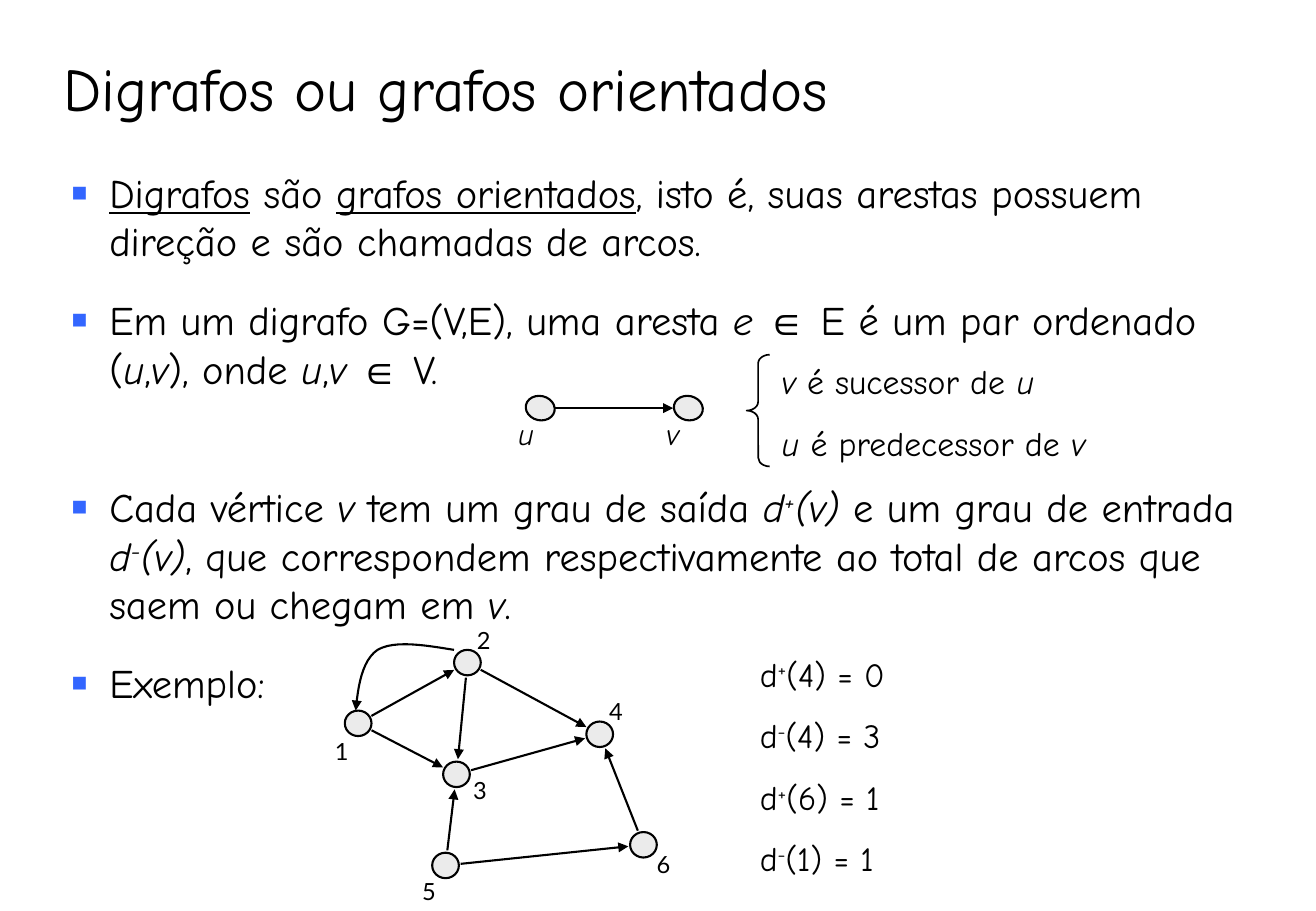
from math import hypot

from lxml.etree import SubElement
from pptx import Presentation
from pptx.dml.color import RGBColor
from pptx.enum.shapes import MSO_CONNECTOR, MSO_SHAPE
from pptx.enum.text import MSO_ANCHOR, MSO_AUTO_SIZE, PP_ALIGN
from pptx.oxml.ns import qn
from pptx.util import Inches, Pt

BLACK = RGBColor(0, 0, 0)
GREY = RGBColor(0xEB, 0xEB, 0xEB)
BLUE = RGBColor(0x33, 0x66, 0xFF)
OVAL, BRACE = MSO_SHAPE.OVAL, MSO_SHAPE.LEFT_BRACE
LINE = MSO_CONNECTOR.STRAIGHT
LEFT, TOP, BOTTOM = PP_ALIGN.LEFT, MSO_ANCHOR.TOP, MSO_ANCHOR.BOTTOM
FIXED = MSO_AUTO_SIZE.NONE
COMIC, LATO, ARIAL = "Comic Neue", "Lato", "Arial"
CELL = 0.1
TRIM = 1.25

DEFINE = [
    [("Digrafos", "u"), " são ", ("grafos orientados", "u"),
     ", isto é, suas arestas possuem direção e são chamadas de arcos."],
    ["Em um digrafo G=(V,E), uma aresta ", ("e ", "i"), ("∈", "a"),
     " E é um par ordenado (", ("u", "i"), ",", ("v", "i"), "), onde ",
     ("u", "i"), ",", ("v ", "i"), ("∈", "a"), " V."],
]
DEGREE = [
    ["Cada vértice ", ("v", "i"), " tem um grau de saída ", ("d", "i"),
     ("+", "is"), ("(v)", "i"), " e um grau de entrada ", ("d", "i"),
     ("-", "is"), ("(v)", "i"),
     ", que correspondem respectivamente ao total de arcos que saem ou chegam em ",
     ("v", "i"), "."],
    ["Exemplo:"],
]
ROLES = [
    [("v", "i"), " é sucessor de ", ("u", "i")],
    [("u", "i"), " é predecessor de ", ("v", "i")],
]
COUNTS = [["d", (sign, "s"), rest] for sign, rest in
          [("+", "(4) = 0"), ("-", "(4) = 3"), ("+", "(6) = 1"), ("-", "(1) = 1")]]

NODES = {
    "1": ((2.9, 8.55), (0, 9.2)),
    "2": ((11.9, 3.55), (11.7, 0)),
    "3": ((11, 12.75), (11.4, 12.4)),
    "4": ((22.8, 9.45), (22.6, 5.9)),
    "5": ((10.1, 20.25), (7.2, 20.7)),
    "6": ((26.4, 18.55), (26.5, 18.5)),
}
ARCS = ["12", "13", "23", "24", "34", "53", "56", "64"]
LOOP = [
    [(10.8, 2.5), (8.3, 2.1), (5.9, 1.7), (4.5, 2.5)],
    [(4.5, 2.5), (3.2, 3.4), (2.9, 5.5), (2.7, 7.5)],
]


def grid(*cells):
    """Turn grid cells into lengths."""
    return [Inches(cell * CELL) for cell in cells]


def shift(box, spot):
    """Place a spot relative to a box."""
    return box[0] + spot[0], box[1] + spot[1]


def mark(para):
    """Give a paragraph a blue square bullet."""
    props = para._p.get_or_add_pPr()
    props.set("marL", str(Inches(0.31)))
    props.set("indent", str(-Inches(0.31)))
    tint = SubElement(props, qn("a:buClr"))
    SubElement(tint, qn("a:srgbClr"), val=str(BLUE))
    SubElement(props, qn("a:buSzPct"), val="65000")
    SubElement(props, qn("a:buFont"), typeface=ARIAL)
    SubElement(props, qn("a:buChar"), char="■")


def write(slide, box, paras, hold=None, size=20, face=COMIC, before=12.5,
          after=0, bullet=False, anchor=TOP, space=1.0):
    """Write paragraphs of styled runs into a box or placeholder."""
    shape = hold or slide.shapes.add_textbox(*grid(*box))
    shape.left, shape.top, shape.width, shape.height = grid(*box)
    frame = shape.text_frame
    frame.word_wrap, frame.auto_size = True, FIXED
    frame.vertical_anchor = anchor
    for row, parts in enumerate(paras):
        para = frame.add_paragraph() if row else frame.paragraphs[0]
        para.alignment, para.line_spacing = LEFT, space
        para.space_before = Pt(before if row else 0)
        para.space_after = Pt(after)
        if bullet:
            mark(para)
        for part in parts:
            text, style = (part, "") if isinstance(part, str) else part
            run = para.add_run()
            run.text = text
            font = run.font
            font.size, font.color.rgb = Pt(size), BLACK
            font.name = ARIAL if "a" in style else face
            font.italic, font.underline = "i" in style, "u" in style
            if "s" in style:
                run._r.get_or_add_rPr().set("baseline", "30000")


def ink(shape, width=1.25, tip=False):
    """Draw a black outline, with an arrowhead if asked."""
    shape.line.color.rgb, shape.line.width = BLACK, Pt(width)
    if tip:
        SubElement(shape.get_or_add_ln(), qn("a:tailEnd"), type="triangle")


def dot(slide, mid, wide, high):
    """Draw a vertex around its centre."""
    box = grid(mid[0] - wide / 2, mid[1] - high / 2, wide, high)
    shape = slide.shapes.add_shape(OVAL, *box)
    shape.shadow.inherit = False
    shape.fill.solid()
    shape.fill.fore_color.rgb = GREY
    ink(shape)
    return shape


def arc(slide, start, end):
    """Draw an arrow between two vertices, trimmed at both ends."""
    run, rise = end[0] - start[0], end[1] - start[1]
    part = TRIM / hypot(run, rise)
    dx, dy = run * part, rise * part
    line = slide.shapes.add_connector(LINE, *grid(
        start[0] + dx, start[1] + dy, end[0] - dx, end[1] - dy))
    ink(line, tip=True)
    SubElement(line._element.spPr, qn("a:effectLst"))


def bend(curve, steps=12):
    """List the points of a cubic curve."""
    for step in range(steps + 1):
        t = step / steps
        rates = (1 - t) ** 3, 3 * t * (1 - t) ** 2, 3 * t * t * (1 - t), t ** 3
        yield tuple(sum(r * p[axis] for r, p in zip(rates, curve)) for axis in (0, 1))


def graph(slide, box):
    """Draw the example digraph."""
    mids = {name: shift(box, mid) for name, (mid, _) in NODES.items()}
    for name, (_, label) in NODES.items():
        dot(slide, mids[name], 2.2, 2.1)
        write(slide, (*shift(box, label), 3.6, 3.3), [[name]], size=14, face=LATO)
    for start, end in ARCS:
        arc(slide, mids[start], mids[end])
    spots = [grid(*shift(box, spot)) for curve in LOOP for spot in bend(curve)]
    pen = slide.shapes.build_freeform(*spots[0], scale=1.0)
    pen.add_line_segments(spots[1:], close=False)
    loop = pen.convert_to_shape()
    loop.shadow.inherit = False
    loop.fill.background()
    ink(loop, tip=True)


def pair(slide, box):
    """Draw the arc from u to v and the braced roles."""
    mids = [shift(box, (col, 4.4)) for col in (2.8, 15)]
    for name, mid in zip("uv", mids):
        dot(slide, mid, 2, 2.4).rotation = 102.7
        write(slide, (mid[0] - 2.8, mid[1] + 0.1, 4.8, 4), [[(name, "i")]], size=18)
    arc(slide, *mids)
    brace = slide.shapes.add_shape(BRACE, *grid(*shift(box, (19.8, 0)), 1.9, box[3]))
    brace.shadow.inherit = False
    brace.fill.background()
    brace.adjustments[0] = 0.38
    ink(brace, 1)
    write(slide, (*shift(box, (21.7, 0)), 30.6, box[3]), ROLES)


def main():
    """Build the slide."""
    deck = Presentation()
    deck.slide_width, deck.slide_height = Inches(10.84), Inches(7.5)
    slide = deck.slides.add_slide(deck.slide_layouts[3])
    title, upper, lower = list(slide.placeholders)[:3]
    write(slide, (4.2, 2.5, 97.5, 8.3), [["Digrafos ou grafos orientados"]],
          hold=title, size=36, anchor=BOTTOM, space=0.9)
    for hold, top, paras in ((upper, 13.3, DEFINE), (lower, 39.2, DEGREE)):
        write(slide, (4.9, top, 98, 20), paras, hold=hold, size=24,
              before=9, after=9, bullet=True)
    graph(slide, (26.6, 51, 30.1, 24))
    pair(slide, (41.7, 29.2, 52.3, 9.2))
    write(slide, (61.6, 53.3, 14.2, 19.6), COUNTS)
    deck.save("out.pptx")


if __name__ == "__main__":
    main()
